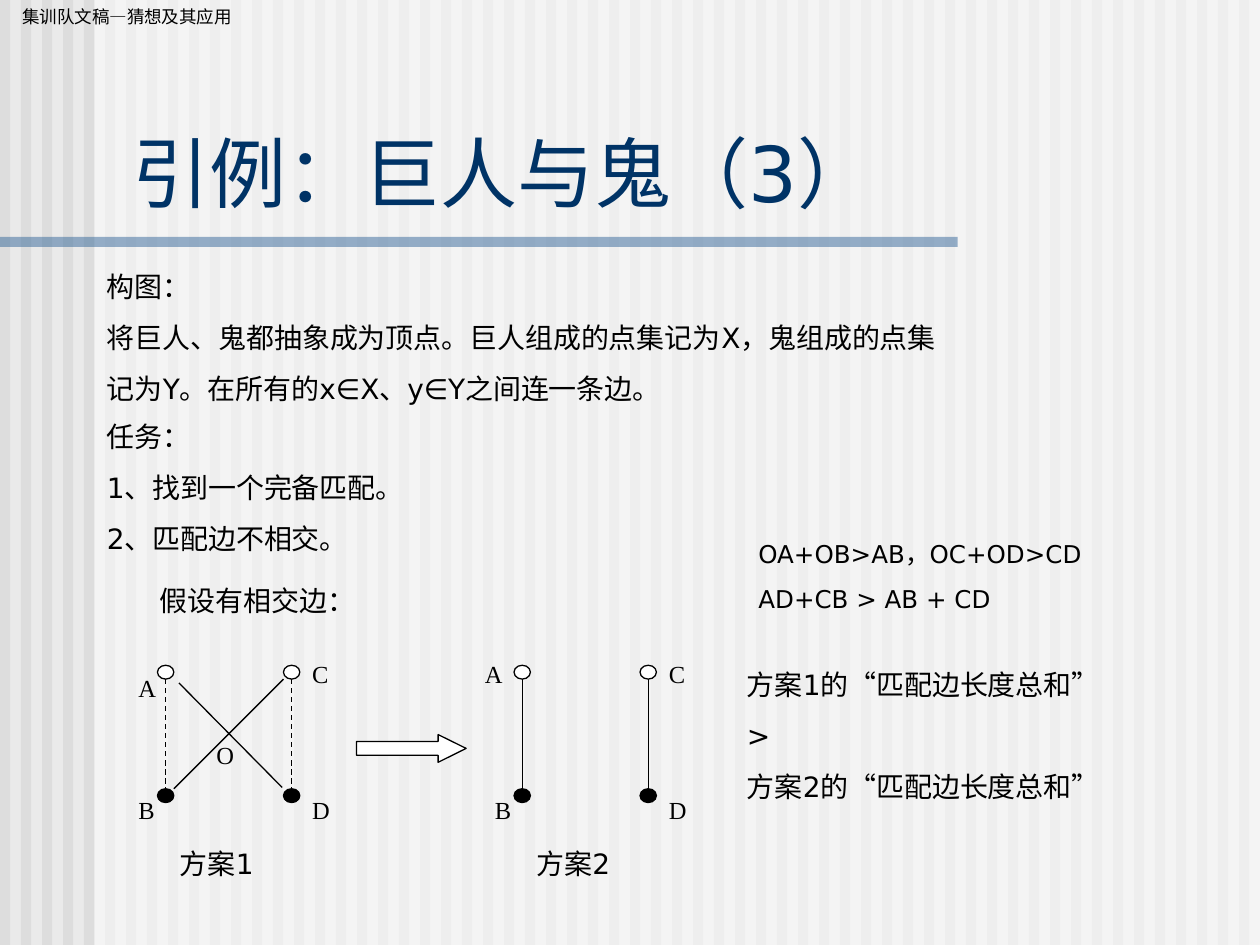
from lxml import etree
from pptx import Presentation
from pptx.dml.color import RGBColor
from pptx.enum.dml import MSO_LINE
from pptx.enum.shapes import MSO_CONNECTOR, MSO_SHAPE
from pptx.enum.text import MSO_ANCHOR, MSO_AUTO_SIZE as Fit, PP_ALIGN as Align
from pptx.oxml.ns import qn
from pptx.util import Inches, Pt

SANS, SERIF = "DejaVu Sans", "Times New Roman"
INK, PAPER, NAVY, BLUE = "000000", "FFFFFF", "003366", "336699"
STRIPE, BACK = "DDDDDD", "EAEAEA"

HEAD = "集训队文稿—猜想及其应用"
TITLE = "引例：巨人与鬼（3）"

# box (left, top, width, height), size, space before, alignment, lines
NOTES = [
    ((0.75, 2.09, 8.25, 1.18), 16, 10, Align.JUSTIFY, [
        "构图：",
        "将巨人、鬼都抽象成为顶点。巨人组成的点集记为X，鬼组成的点集",
        "记为Y。在所有的x∈X、y∈Y之间连一条边。"]),
    ((0.75, 3.28, 8.67, 1.18), 16, 10, Align.JUSTIFY, [
        "任务：", "1、找到一个完备匹配。", "2、匹配边不相交。"]),
    ((1.17, 4.58, 3, 0.37), 16, 10, Align.LEFT, ["假设有相交边："]),
    ((5.92, 4.23, 3.08, 0.69), 14, 8.8, Align.LEFT, [
        "OA+OB>AB，OC+OD>CD", "AD+CB > AB + CD"]),
    ((5.83, 5.25, 3.67, 1.18), 16, 10, Align.LEFT, [
        "方案1的“匹配边长度总和”", ">", "方案2的“匹配边长度总和”"]),
]

# Each plan: left edge of its nodes, caption, letters, dashed sides or not
PLANS = [
    (1.25, "方案1", {"A": (1, 5.29), "B": (1, 6.26), "C": (2.38, 5.18),
                   "D": (2.38, 6.26), "O": (1.62, 5.82)}, True),
    (4.08, "方案2", {"A": (3.75, 5.18), "B": (3.83, 6.26), "C": (5.21, 5.18),
                   "D": (5.21, 6.26)}, False),
]
CROSS = [((1.42, 5.42), (2.24, 6.25)), ((1.38, 6.26), (2.25, 5.39))]
NODE_W, NODE_H, TOP, LOW, SPAN = 0.13, 0.11, 5.28, 6.26, 1

deck = Presentation()
deck.slide_width, deck.slide_height = Inches(10), Inches(7.5)
slide = deck.slides.add_slide(deck.slide_layouts[5])
shapes = slide.shapes


def color(code):
    return RGBColor.from_string(code)


def place(*nums):
    return [Inches(n) for n in nums]


def draw(kind, box, fill, line=None, alpha=None):
    """Add a filled shape; alpha is the opacity in percent."""
    shape = shapes.add_shape(kind, *place(*box))
    shape.shadow.inherit = False
    shape.fill.solid()
    shape.fill.fore_color.rgb = color(fill)
    if line:
        shape.line.color.rgb = color(line)
        shape.line.width = Pt(0.75)
    else:
        shape.line.fill.background()
    if alpha:
        tone = shape.fill._xPr.find(".//" + qn("a:srgbClr"))
        etree.SubElement(tone, qn("a:alpha"), val=str(alpha * 1000))
    return shape


def join(start, end, dash=False):
    line = shapes.add_connector(MSO_CONNECTOR.STRAIGHT, *place(*start, *end))
    line.line.color.rgb = color(INK)
    line.line.width = Pt(0.75)
    if dash:
        line.line.dash_style = MSO_LINE.DASH
    etree.SubElement(line._element.spPr, qn("a:effectLst"))


def put(frame, lines, size, font=SANS, ink=INK, gap=0, align=Align.LEFT):
    """Fill a text frame, one paragraph a line, with gap points between."""
    frame.word_wrap = True
    frame.auto_size = Fit.NONE
    for i, text in enumerate(lines):
        para = frame.add_paragraph() if i else frame.paragraphs[0]
        para.alignment = align
        para.space_before = Pt(gap if i else 0)
        run = para.add_run()
        run.text = text
        run.font.size = Pt(size)
        run.font.name = font
        run.font.color.rgb = color(ink)


def write(box, lines, size, **style):
    put(shapes.add_textbox(*place(*box)).text_frame, lines, size, **style)


# Backdrop
slide.background.fill.solid()
slide.background.fill.fore_color.rgb = color(BACK)
for i in range(60):
    draw(MSO_SHAPE.RECTANGLE, (i / 6, 0, 0.08, 7.5), STRIPE)
draw(MSO_SHAPE.RECTANGLE, (0.75, 0, 9.25, 7.5), PAPER, alpha=50)
draw(MSO_SHAPE.RECTANGLE, (0, 1.88, 7.6, 0.08), BLUE, alpha=50)
write((0.08, 0, 2.25, 0.27), [HEAD], 10, font=SERIF)

# Title, raised above the backdrop
title = shapes.title
title.left, title.top, title.width, title.height = place(0.95, 0.94, 8.93, 0.84)
put(title.text_frame, [TITLE], 44, ink=NAVY)
title.text_frame.vertical_anchor = MSO_ANCHOR.BOTTOM
shapes._spTree.append(title._element)

for box, size, gap, align, lines in NOTES:
    write(box, lines, size, gap=gap, align=align)

# Matching diagrams
for left, name, marks, dash in PLANS:
    for x in (left, left + SPAN):
        for y, fill in ((TOP, PAPER), (LOW, INK)):
            draw(MSO_SHAPE.OVAL, (x, y, NODE_W, NODE_H), fill, INK)
        mid = x + NODE_W / 2
        join((mid, TOP + NODE_H), (mid, LOW), dash)
    for mark, (x, y) in marks.items():
        write((x, y, 0.5, 0.32), [mark], 14, font=SERIF, align=Align.JUSTIFY)
    write((left + 0.08, 6.67, 0.92, 0.37), [name], 16)
for start, end in CROSS:
    join(start, end)
arrow = draw(MSO_SHAPE.RIGHT_ARROW, (2.83, 5.83, 0.87, 0.22), PAPER, INK)
arrow.adjustments[1] = 1.01

deck.save("out.pptx")
